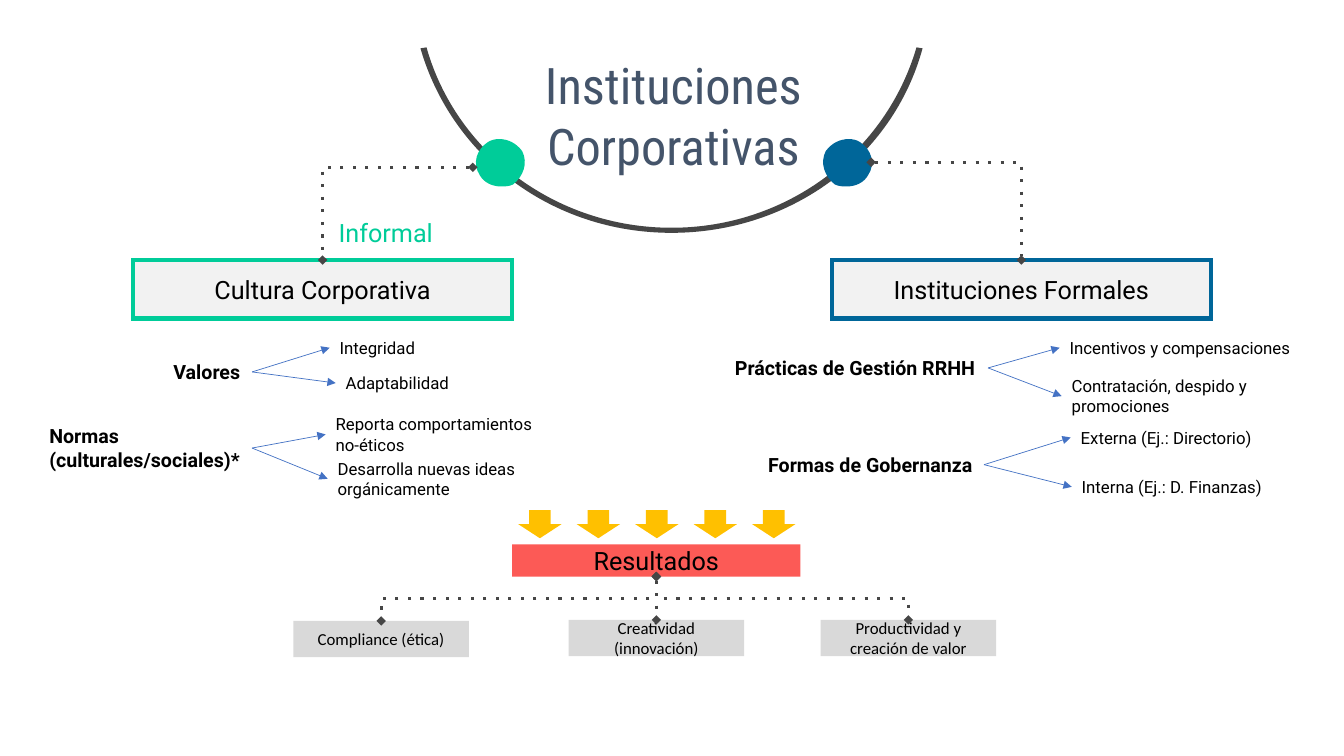
from typing import NamedTuple

from lxml import etree
from pptx import Presentation, util as u
from pptx.dml import color
from pptx.enum import shapes, text
from pptx.oxml import ns

INK = {"dark": "464646", "title": "44546A", "green": "00CC99", "blue": "006699",
       "pale": "F2F2F2", "gray": "D9D9D9", "red": "FC5A56", "gold": "FFC000",
       "line": "4472C4", "black": "000000"}
KIND = shapes.MSO_SHAPE
LINK = shapes.MSO_CONNECTOR
Points = list[tuple[float, float]]


class Box(NamedTuple):
    words: str
    x: float
    y: float
    w: float
    h: float
    size: float = 18
    fill: str = "gray"
    edge: str = ""
    font: str = "Roboto"


class Note(NamedTuple):
    words: str
    x: float
    y: float
    w: float
    h: float = 0.3
    size: float = 12
    bold: bool = False
    wrap: bool = False
    ink: str = "black"


class Fan(NamedTuple):
    label: Note
    leaves: list[Note]


deck = Presentation()
deck.slide_width, deck.slide_height = u.Inches(13.33), u.Inches(7.5)
slide = deck.slides.add_slide(deck.slide_layouts[6])


def rgb(name: str) -> color.RGBColor:
    return color.RGBColor.from_string(INK[name])


def paint(shape, fill: str, edge: str = "") -> None:
    shape.shadow.inherit = False
    shape.fill.solid()
    shape.fill.fore_color.rgb = rgb(fill)
    if edge:
        shape.line.color.rgb = rgb(edge)
        shape.line.width = u.Pt(3)
        line = shape.element.spPr.find(ns.qn("a:ln"))
        etree.SubElement(line, ns.qn("a:miter"), lim="800000")
    else:
        shape.line.fill.background()


def form(kind, x: float, y: float, w: float, h: float, fill: str, edge: str = "") -> None:
    shape = slide.shapes.add_shape(kind, *map(u.Inches, (x, y, w, h)))
    paint(shape, fill, edge)
    return shape


def curve(points: Points, steps: str, fill: str) -> None:
    """Close an outline; each step is L (one point) or C (three points)."""
    spots = [(u.Inches(x), u.Inches(y)) for x, y in points]
    pen = slide.shapes.build_freeform(*spots[0])
    pen.add_line_segments(spots[1:], close=True)
    shape = pen.convert_to_shape()
    paint(shape, fill)
    parts = iter(list(shape.element.iter(ns.qn("a:lnTo"))))
    for step in steps:
        first = next(parts)
        if step == "C":
            first.tag = ns.qn("a:cubicBezTo")
            for _ in range(2):
                extra = next(parts)
                first.append(extra[0])
                extra.getparent().remove(extra)


def write(frame, words: str, size: float, font: str = "Roboto", ink: str = "black",
          bold: bool = False, center: bool = False) -> None:
    for i, part in enumerate(words.split("\n")):
        para = frame.paragraphs[0] if i == 0 else frame.add_paragraph()
        para.alignment = text.PP_ALIGN.CENTER if center else text.PP_ALIGN.LEFT
        run = para.add_run()
        run.text = part
        run.font.size, run.font.name, run.font.bold = u.Pt(size), font, bold
        run.font.color.rgb = rgb(ink)


def draw_box(box: Box) -> None:
    shape = form(KIND.RECTANGLE, box.x, box.y, box.w, box.h, box.fill, box.edge)
    shape.text_frame.vertical_anchor = text.MSO_ANCHOR.MIDDLE
    write(shape.text_frame, box.words, box.size, box.font, center=True)


def draw_note(note: Note) -> None:
    area = slide.shapes.add_textbox(*map(u.Inches, (note.x, note.y, note.w, note.h)))
    area.text_frame.word_wrap = note.wrap
    area.text_frame.auto_size = text.MSO_AUTO_SIZE.SHAPE_TO_FIT_TEXT
    write(area.text_frame, note.words, note.size, ink=note.ink, bold=note.bold)


def join(kind, x1: float, y1: float, x2: float, y2: float, ink: str, width: float,
         ends: dict[str, str], dash: str = ""):
    link = slide.shapes.add_connector(kind, *map(u.Inches, (x1, y1, x2, y2)))
    link.line.color.rgb = rgb(ink)
    link.line.width = u.Pt(width)
    props = link.element.spPr
    line = props.find(ns.qn("a:ln"))
    if dash:
        etree.SubElement(line, ns.qn("a:prstDash"), val=dash)
    for end, mark in ends.items():
        etree.SubElement(line, ns.qn(f"a:{end}"), type=mark)
    etree.SubElement(props, ns.qn("a:effectLst"))
    return props


def dotted(x1: float, y1: float, x2: float, y2: float):
    ends = {"headEnd": "diamond", "tailEnd": "diamond"}
    return join(LINK.ELBOW, x1, y1, x2, y2, "dark", 2.25, ends, "dot")


def corner(x1: float, y1: float, x2: float, y2: float) -> None:
    """Run sideways, then down."""
    dotted(x1, y1, x2, y2).find(ns.qn("a:prstGeom")).set("prst", "bentConnector2")


def branch(x1: float, y1: float, x2: float, y2: float) -> None:
    """Run down, sideways, then down: a turned elbow around its centre."""
    mx, my = (x1 + x2) / 2, (y1 + y2) / 2
    dx, dy = abs(x2 - x1) / 2, (y2 - y1) / 2
    side = -1 if x2 > x1 else 1
    props = dotted(mx - side * dy, my - dx, mx + side * dy, my + dx)
    props.find(ns.qn("a:xfrm")).set("rot", str((180 - side * 90) * 60000))


def draw_fan(fan: Fan) -> None:
    label = fan.label
    draw_note(label)
    for leaf in fan.leaves:
        draw_note(leaf)
        join(LINK.STRAIGHT, label.x + label.w, label.y + label.h / 2,
             leaf.x, leaf.y + leaf.h / 2, "line", 0.5, {"tailEnd": "triangle"})


# Arc
curve([(4.23, 0.47), (4.17, 0.48), (4.48, 1.55), (5.47, 2.31), (6.66, 2.31),
       (7.85, 2.31), (8.86, 1.55), (9.15, 0.48), (9.09, 0.47), (8.79, 1.5),
       (7.82, 2.26), (6.66, 2.26), (5.5, 2.26), (4.52, 1.5), (4.23, 0.47)],
      "LCCLCC", "dark")

# Dots on the arc, the left one mirrored
DOT = [(8.42, 1.38), (8.33, 1.38), (8.25, 1.42), (8.19, 1.5), (8.13, 1.62),
       (8.18, 1.75), (8.28, 1.83), (8.32, 1.85), (8.36, 1.85), (8.4, 1.85),
       (8.49, 1.85), (8.57, 1.81), (8.61, 1.74), (8.69, 1.62), (8.64, 1.48),
       (8.53, 1.41), (8.5, 1.39), (8.46, 1.38), (8.42, 1.38)]
curve(DOT, "CCCCCC", "blue")
curve([(13.37 - x, y) for x, y in DOT], "CCCCCC", "green")

# Title
title = slide.shapes.add_textbox(*map(u.Inches, (4.61, 0.25, 4.14, 1.78))).text_frame
title.word_wrap = True
title.vertical_anchor = text.MSO_ANCHOR.MIDDLE
title.margin_left = title.margin_right = u.Inches(0.04)
title.margin_top = title.margin_bottom = u.Inches(0.02)
write(title, "Instituciones Corporativas", 36, "Roboto Condensed", "title", center=True)

# The two kinds of institutions
draw_box(Box("Cultura Corporativa", 1.32, 2.58, 3.76, 0.58, 18, "pale", "green"))
draw_box(Box("Instituciones Formales", 8.25, 2.58, 3.76, 0.58, 18, "pale", "blue"))
corner(4.69, 1.66, 3.2, 2.58)
corner(8.64, 1.61, 10.13, 2.58)
draw_note(Note("Informal", 3.26, 2.11, 1.15, 0.4, 18, ink="green"))

# Labels with their examples
FANS = [
    Fan(Note("Valores", 1.62, 3.52, 0.88, 0.34, 14, True),
        [Note("Integridad", 3.27, 3.3, 0.96), Note("Adaptabilidad", 3.33, 3.65, 1.23)]),
    Fan(Note("Normas\n(culturales/sociales)*", 0.39, 4.16, 2.11, 0.57, 14, True),
        [Note("Reporta comportamientos no-éticos", 3.23, 4.06, 2.41, 0.5, wrap=True),
         Note("Desarrolla nuevas ideas orgánicamente", 3.25, 4.5, 2.41, 0.5, wrap=True)]),
    Fan(Note("Prácticas de Gestión RRHH", 7.19, 3.48, 2.61, 0.34, 14, True),
        [Note("Incentivos y compensaciones", 10.51, 3.3, 2.42),
         Note("Contratación, despido y promociones", 10.53, 3.68, 2.09, 0.5, wrap=True)]),
    Fan(Note("Formas de Gobernanza", 7.52, 4.44, 2.24, 0.34, 14, True),
        [Note("Externa (Ej.: Directorio)", 10.62, 4.19, 1.92),
         Note("Interna (Ej.: D. Finanzas)", 10.63, 4.68, 2.02)]),
]
for fan in FANS:
    draw_fan(fan)

# Results
draw_box(Box("Resultados", 5.08, 5.4, 2.86, 0.32, fill="red"))
GOALS = [("Compliance (ética)", 2.91, 6.16), ("Creatividad (innovación)", 5.64, 6.15),
         ("Productividad y creación de valor", 8.14, 6.15)]
for words, x, y in GOALS:
    draw_box(Box(words, x, y, 1.74, 0.36, 12, font="Calibri"))
for i in range(5):
    form(KIND.DOWN_ARROW, 5.14 + i * 0.58, 5.06, 0.43, 0.28, "gold")
for words, x, y in GOALS:
    branch(6.51, 5.72, x + 0.87, y)

deck.save("out.pptx")
